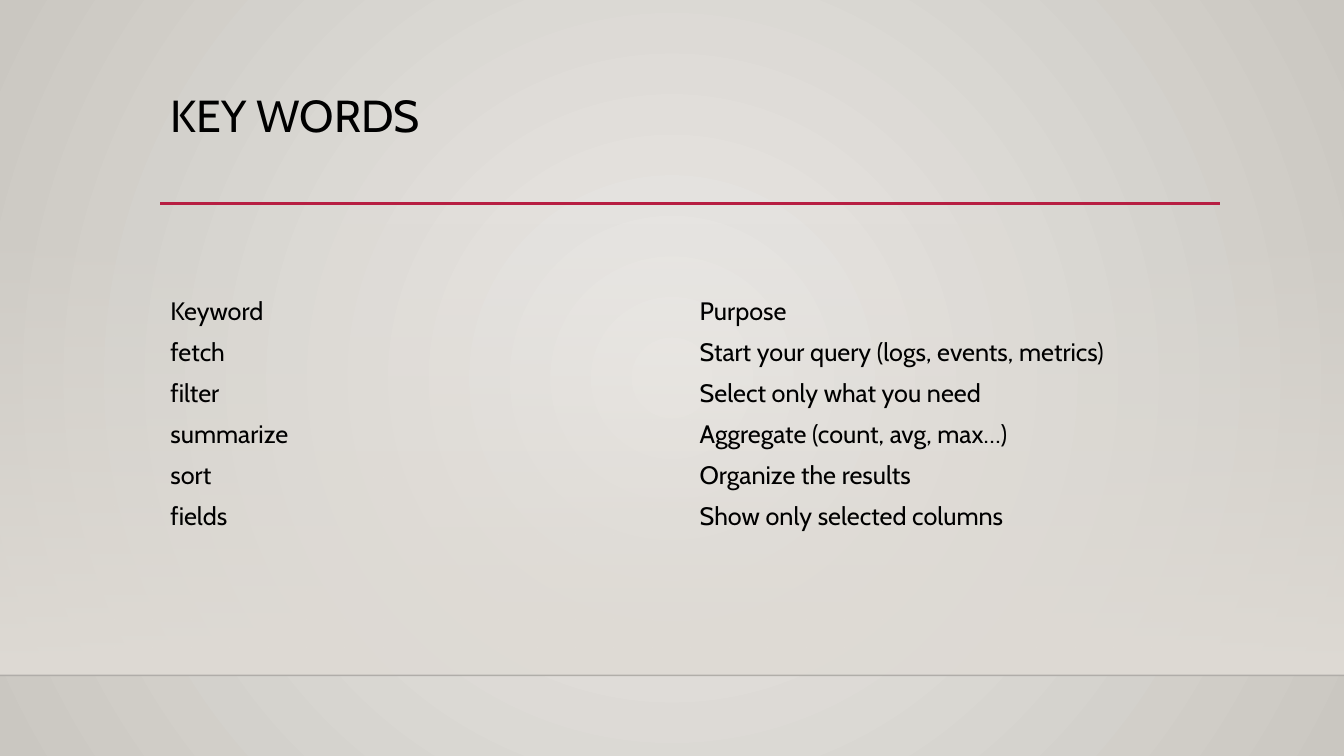
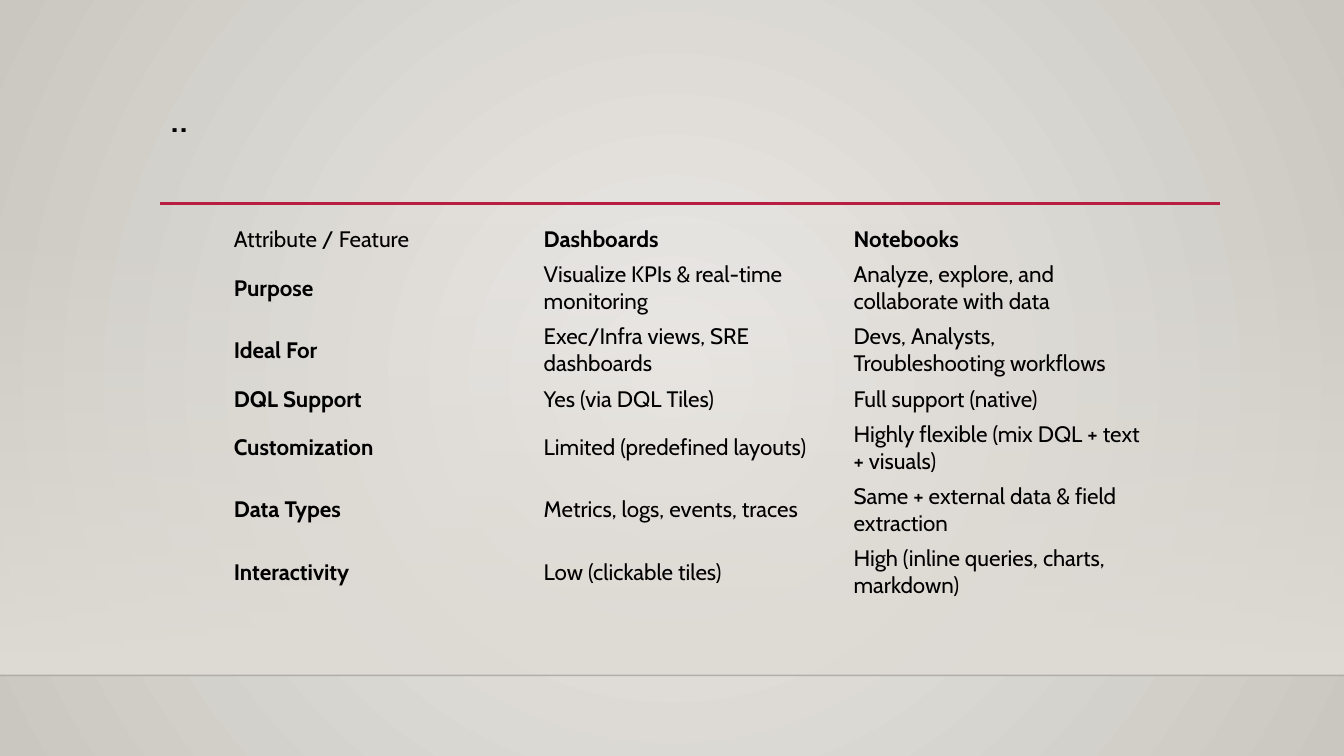
from dataclasses import dataclass

from pptx import Presentation
from pptx.dml.color import RGBColor
from pptx.enum.shapes import MSO_CONNECTOR as Line, MSO_SHAPE as Shape
from pptx.enum.text import MSO_ANCHOR as Anchor, MSO_AUTO_SIZE as AutoSize, PP_ALIGN as Align
from pptx.oxml import parse_xml
from pptx.oxml.ns import nsdecls, qn
from pptx.util import Inches, Pt


@dataclass(frozen=True)
class Theme:
    font: str = "Cabin"
    ink: str = "000000"
    accent: str = "B71E42"
    floor_edge: str = "000001"
    band: str = "DFDBD5"
    glow: str = "ECEAE7"
    shade: str = "CAC7C1"
    title_size: int = 32
    keyword_size: int = 18
    feature_size: int = 16
    accent_weight: float = 2.5
    edge_weight: float = 1
    edge_opacity: int = 20


THEME = Theme()
WIDTH, HEIGHT = 13.33, 7.5
FLOOR = 6.7
BAND_TOP = 2.21
RULE_Y = 2.02
LEFT = 1.59
TITLE_BOX = (LEFT, 0.88, 10.5, 1.15)
KEYWORD_BOX = (LEFT, 2.89, 10.5, 2.4)
FEATURE_BOX = (2.23, 2.2, 9.22, 3.81)
NO_TABLE_STYLE = "{2D5ABB26-0587-4C30-8999-92F81FD0307C}"

RADIAL = '<a:path path="circle"><a:fillToRect l="50000" t="50000" r="50000" b="50000"/></a:path>'
DOWNWARD = '<a:lin ang="5400000" scaled="0"/>'

KEYWORDS = [
    ("Keyword", "Purpose"),
    ("fetch", "Start your query (logs, events, metrics)"),
    ("filter", "Select only what you need"),
    ("summarize", "Aggregate (count, avg, max…)"),
    ("sort", "Organize the results"),
    ("fields", "Show only selected columns"),
]
FEATURES = [
    ("Attribute / Feature", "Dashboards", "Notebooks"),
    ("Purpose", "Visualize KPIs & real-time monitoring",
     "Analyze, explore, and collaborate with data"),
    ("Ideal For", "Exec/Infra views, SRE dashboards",
     "Devs, Analysts, Troubleshooting workflows"),
    ("DQL Support", "Yes (via DQL Tiles)", "Full support (native)"),
    ("Customization", "Limited (predefined layouts)",
     "Highly flexible (mix DQL + text + visuals)"),
    ("Data Types", "Metrics, logs, events, traces",
     "Same + external data & field extraction"),
    ("Interactivity", "Low (clickable tiles)",
     "High (inline queries, charts, markdown)"),
]
ONE_LINE, TWO_LINES = 0.35, 0.61
FEATURE_ROWS = [ONE_LINE, TWO_LINES, TWO_LINES, ONE_LINE, TWO_LINES, TWO_LINES, TWO_LINES]


def apply(target, values):
    for name, value in values.items():
        setattr(target, name, value)


def place(shape, box):
    apply(shape, dict(zip(("left", "top", "width", "height"), map(Inches, box))))


def style_text(run, size, bold=False):
    apply(run.font, {"name": THEME.font, "size": Pt(size), "bold": bold})
    run.font.color.rgb = RGBColor.from_string(THEME.ink)


def set_gradient(fill, properties, stops, direction):
    """Fill with (position, colour, opacity) stops, all in percent."""
    fill.background()
    stop_xml = "".join(
        f'<a:gs pos="{position * 1000}"><a:srgbClr val="{colour}">'
        f'<a:alpha val="{opacity * 1000}"/></a:srgbClr></a:gs>'
        for position, colour, opacity in stops)
    gradient = parse_xml(f'<a:gradFill {nsdecls("a")} rotWithShape="1">'
                         f'<a:gsLst>{stop_xml}</a:gsLst>{direction}</a:gradFill>')
    properties.replace(properties.find(qn("a:noFill")), gradient)


def add_rule(slide, start, end, y, colour, weight, opacity=100):
    rule = slide.shapes.add_connector(
        Line.STRAIGHT, Inches(start), Inches(y), Inches(end), Inches(y))
    rule.line.color.rgb = RGBColor.from_string(colour)
    rule.line.width = Pt(weight)
    properties = rule.element.spPr
    colour_xml = properties.find(".//" + qn("a:srgbClr"))
    colour_xml.append(parse_xml(f'<a:alpha {nsdecls("a")} val="{opacity * 1000}"/>'))
    properties.append(parse_xml(f'<a:effectLst {nsdecls("a")}/>'))
    return rule


def add_band(slide):
    band = slide.shapes.add_shape(Shape.RECTANGLE, 0, 0, 0, 0)
    place(band, (0, BAND_TOP, WIDTH, FLOOR - BAND_TOP))
    band.shadow.inherit = False
    band.line.fill.background()
    set_gradient(band.fill, band.element.spPr,
                 [(0, THEME.band, 0), (100, THEME.band, 100)], DOWNWARD)
    return band


def set_backdrop(layout, slide):
    """Draw the shared scenery on a slide, then move it to the slide's layout."""
    fill = layout.background.fill
    set_gradient(fill, layout.element.find(".//" + qn("p:bgPr")),
                 [(0, THEME.glow, 100), (100, THEME.shade, 100)], RADIAL)
    scenery = [
        add_band(slide),
        add_rule(slide, 0, WIDTH, FLOOR, THEME.floor_edge,
                 THEME.edge_weight, THEME.edge_opacity),
        add_rule(slide, LEFT, 12.1, RULE_Y, THEME.accent, THEME.accent_weight),
    ]
    first_id = 1 + max(shape.shape_id for shape in layout.shapes)
    for shape_id, part in enumerate(scenery, first_id):
        part.element.find(".//" + qn("p:cNvPr")).set("id", str(shape_id))
        layout.shapes.element.append(part.element)


def set_title(slide, words, box):
    title = slide.shapes.title
    place(title, box)
    frame = title.text_frame
    apply(frame, {"text": words, "vertical_anchor": Anchor.TOP,
                  "word_wrap": True, "auto_size": AutoSize.NONE})
    heading = frame.paragraphs[0]
    apply(heading, {"alignment": Align.LEFT, "line_spacing": 0.9})
    style_text(heading.runs[0], THEME.title_size)


def add_plain_table(slide, rows, box, heights, size, margins, bold_headings=False):
    """Add a table without grid; bold headings leave the corner cell regular."""
    columns = len(rows[0])
    table = slide.shapes.add_table(len(rows), columns, *map(Inches, box)).table
    apply(table, {"first_row": False, "horz_banding": False})
    table._tbl.tblPr.find(qn("a:tableStyleId")).text = NO_TABLE_STYLE
    for column in table.columns:
        column.width = Inches(box[2] / columns)
    side, edge = map(Inches, margins)
    cell_format = {"vertical_anchor": Anchor.MIDDLE, "margin_left": side,
                   "margin_right": side, "margin_top": edge, "margin_bottom": edge}
    for r, (texts, height) in enumerate(zip(rows, heights)):
        table.rows[r].height = Inches(height)
        for c, words in enumerate(texts):
            cell = table.cell(r, c)
            cell.text = words
            cell.fill.background()
            apply(cell, cell_format)
            bold = bold_headings and (r == 0) != (c == 0)
            style_text(cell.text_frame.paragraphs[0].runs[0], size, bold)


def fill_keywords(slide):
    set_title(slide, "KEY WORDS", TITLE_BOX)
    heights = [KEYWORD_BOX[3] / len(KEYWORDS)] * len(KEYWORDS)
    add_plain_table(slide, KEYWORDS, KEYWORD_BOX, heights, THEME.keyword_size, (0.1, 0.05))


def fill_features(slide):
    set_title(slide, "..", TITLE_BOX)
    add_plain_table(slide, FEATURES, FEATURE_BOX, FEATURE_ROWS,
                    THEME.feature_size, (0.09, 0.04), bold_headings=True)


def main():
    deck = Presentation()
    apply(deck, {"slide_width": Inches(WIDTH), "slide_height": Inches(HEIGHT)})
    title_only = deck.slide_layouts[5]
    keywords, features = (deck.slides.add_slide(title_only) for _ in range(2))
    set_backdrop(title_only, keywords)
    fill_keywords(keywords)
    fill_features(features)
    deck.save("out.pptx")


if __name__ == "__main__":
    main()
